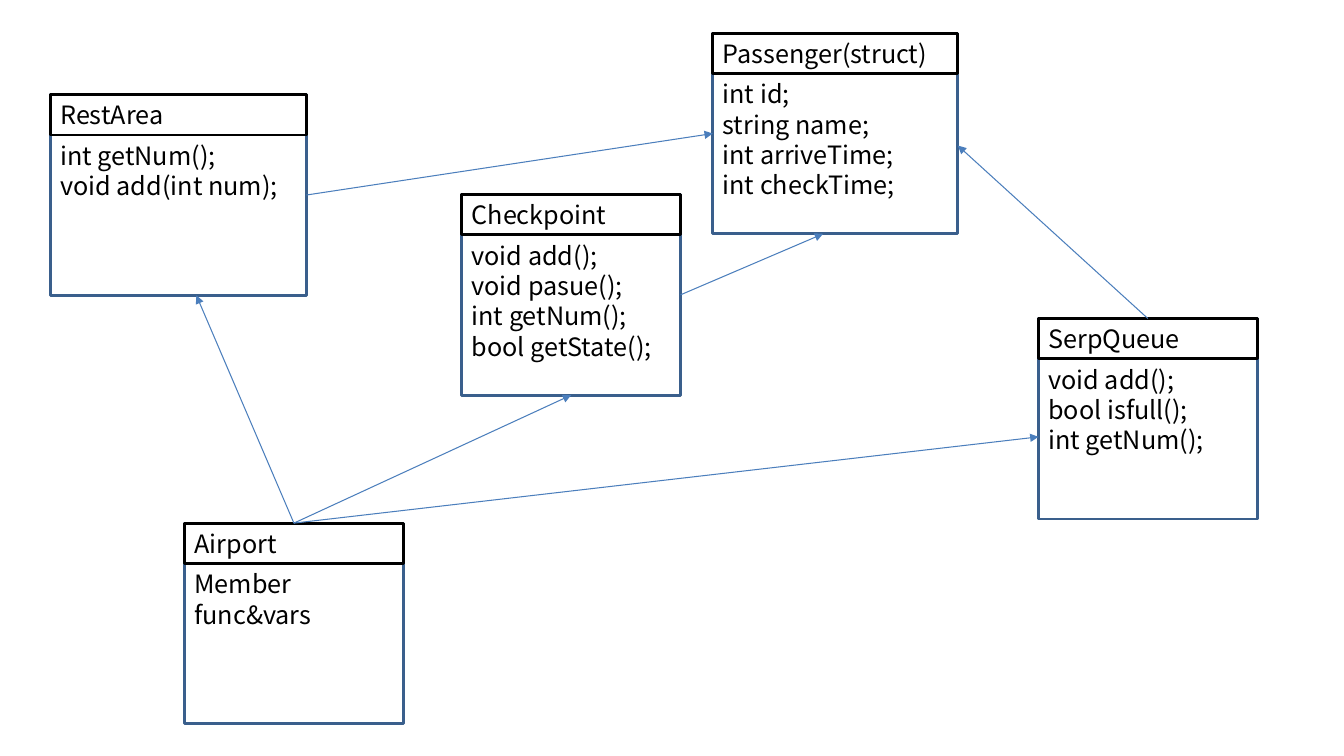
from typing import NamedTuple

from lxml.etree import SubElement
from pptx import Presentation
from pptx.dml.color import RGBColor
from pptx.enum.shapes import MSO_CONNECTOR, MSO_SHAPE
from pptx.enum.text import MSO_ANCHOR, PP_ALIGN
from pptx.oxml.ns import qn
from pptx.shapes.autoshape import Shape
from pptx.slide import Slide
from pptx.util import Inches, Pt

BLACK = RGBColor(0x00, 0x00, 0x00)
WHITE = RGBColor(0xFF, 0xFF, 0xFF)
NAVY = RGBColor(0x3A, 0x5F, 0x8C)
BLUE = RGBColor(0x4B, 0x7E, 0xBC)
FONT = "Noto Sans CJK SC"
BOX_H = 1.99
HEAD_H = 0.4
LINE_H = 0.3
PAD = 0.05


class Box(NamedTuple):
    """A class box: title, place and members, in inches."""
    title: str
    left: float
    top: float
    width: float
    rows: list[str]
    lines: int

    def point(self, side: tuple[float, float]) -> tuple[float, float]:
        """Return the point at the given shares of width and height."""
        return self.left + side[0] * self.width, self.top + side[1] * BOX_H


class Link(NamedTuple):
    """An arrow between two boxes, with its place on each."""
    start: str
    out: tuple[float, float]
    end: str
    into: tuple[float, float]


TOP, RIGHT, LEFT, BOTTOM = (0.5, 0), (1, 0.5), (0, 0.5), (0.5, 1)

BOXES = [
    Box("Checkpoint", 4.58, 1.93, 2.17,
        ["void add();", "void pasue();", "int getNum();", "bool getState();"], 4),
    Box("SerpQueue", 10.3, 3.16, 2.17,
        ["void add();", "bool isfull();", "int getNum();"], 3),
    Box("RestArea", 0.5, 0.94, 2.54, ["int getNum();", "void add(int num);"], 2),
    Box("Passenger(struct)", 7.07, 0.33, 2.43,
        ["int id;", "string name;", "int arriveTime;", "int checkTime;"], 4),
    Box("Airport", 1.83, 5.19, 2.17, ["Member func&vars"], 2),
]

LINKS = [
    Link("RestArea", RIGHT, "Passenger(struct)", LEFT),
    Link("SerpQueue", TOP, "Passenger(struct)", (1, 0.56)),
    Link("Checkpoint", RIGHT, "Passenger(struct)", (0.45, 1)),
    Link("Airport", TOP, "RestArea", (0.57, 1)),
    Link("Airport", TOP, "Checkpoint", BOTTOM),
    Link("Airport", TOP, "SerpQueue", (0, 0.59)),
]


def write(shape: Shape, rows: list[str], *, size: float = 18,
          color: RGBColor = BLACK, pitch: float = 21.65) -> None:
    """Fill a shape with one left-aligned paragraph for each row."""
    frame = shape.text_frame
    frame.word_wrap = True
    frame.vertical_anchor = MSO_ANCHOR.TOP
    frame.margin_left = frame.margin_right = Inches(0.1)
    frame.margin_top = frame.margin_bottom = Inches(PAD)
    frame.text = "\n".join(rows)
    for para in frame.paragraphs:
        para.alignment = PP_ALIGN.LEFT
        para.line_spacing = Pt(pitch)
        font = para.runs[0].font
        font.name, font.size, font.color.rgb = FONT, Pt(size), color


def add_rect(slide: Slide, box: Box, height: float, line: RGBColor) -> Shape:
    """Add an outlined rectangle from the top of a box."""
    rect = slide.shapes.add_shape(
        MSO_SHAPE.RECTANGLE, Inches(box.left), Inches(box.top),
        Inches(box.width), Inches(height))
    rect.shadow.inherit = False
    rect.line.color.rgb, rect.line.width = line, Pt(2)
    return rect


def add_box(slide: Slide, box: Box) -> None:
    """Draw the frame, title and members of a class box."""
    frame = add_rect(slide, box, BOX_H, NAVY)
    frame.fill.background()
    head = add_rect(slide, box, HEAD_H, BLACK)
    head.fill.solid()
    head.fill.fore_color.rgb = WHITE
    write(head, [box.title])
    body = slide.shapes.add_textbox(
        Inches(box.left), Inches(box.top + HEAD_H), Inches(box.width),
        Inches(box.lines * LINE_H + 2 * PAD))
    write(body, box.rows)


def add_link(slide: Slide, link: Link, boxes: dict[str, Box]) -> None:
    """Draw an arrow from one box to another."""
    ends = boxes[link.start].point(link.out) + boxes[link.end].point(link.into)
    arrow = slide.shapes.add_connector(
        MSO_CONNECTOR.STRAIGHT, *(Inches(end) for end in ends))
    arrow.line.color.rgb, arrow.line.width = BLUE, Pt(0.75)
    SubElement(arrow.line._get_or_add_ln(), qn("a:tailEnd"), type="triangle")
    SubElement(arrow._element.spPr, qn("a:effectLst"))


def main() -> None:
    """Build and save the class diagram."""
    deck = Presentation()
    deck.slide_width, deck.slide_height = Inches(13.33), Inches(7.5)
    slide = deck.slides.add_slide(deck.slide_layouts[6])
    for box in BOXES:
        add_box(slide, box)
    boxes = {box.title: box for box in BOXES}
    for link in LINKS:
        add_link(slide, link, boxes)
    deck.save("out.pptx")


main()
